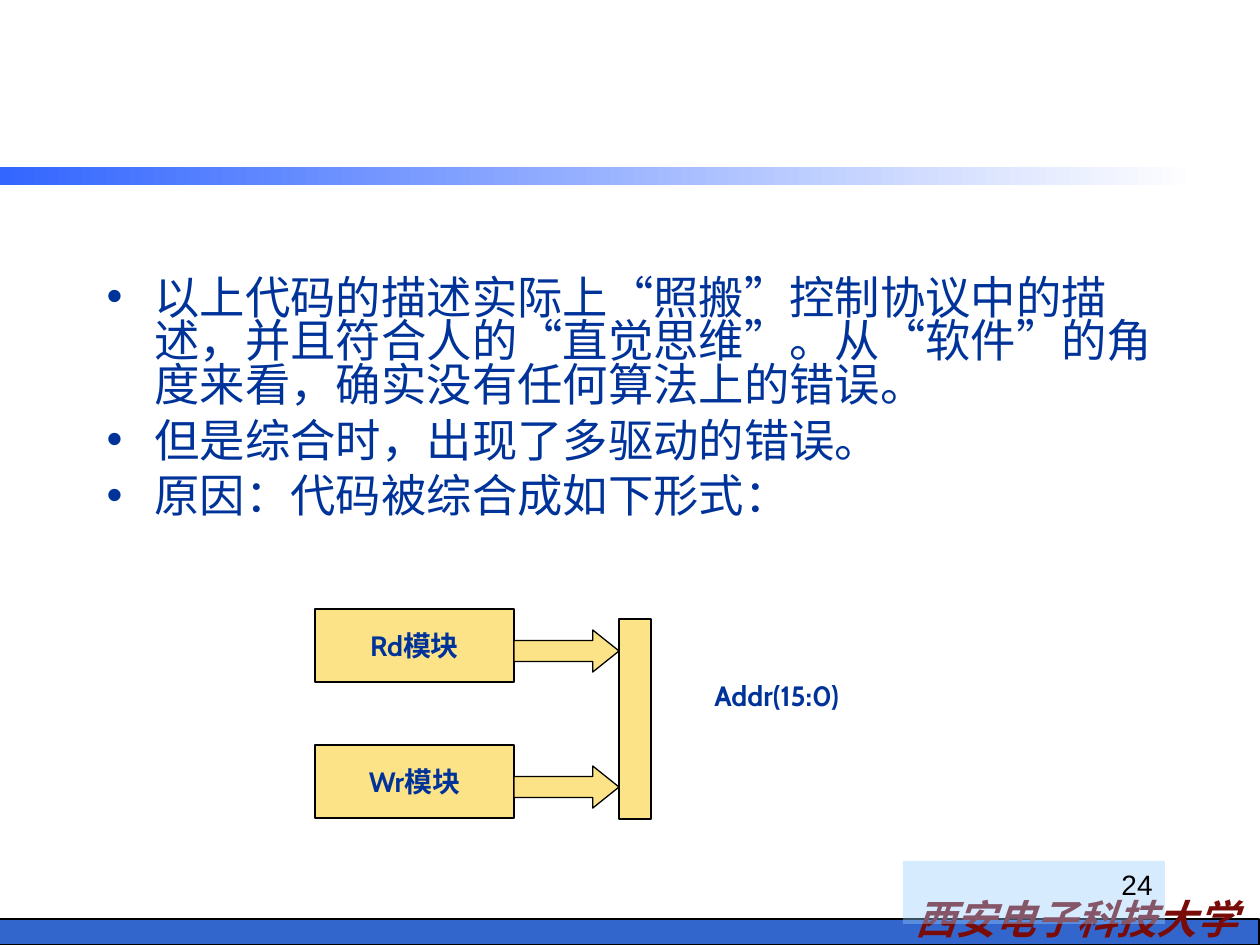
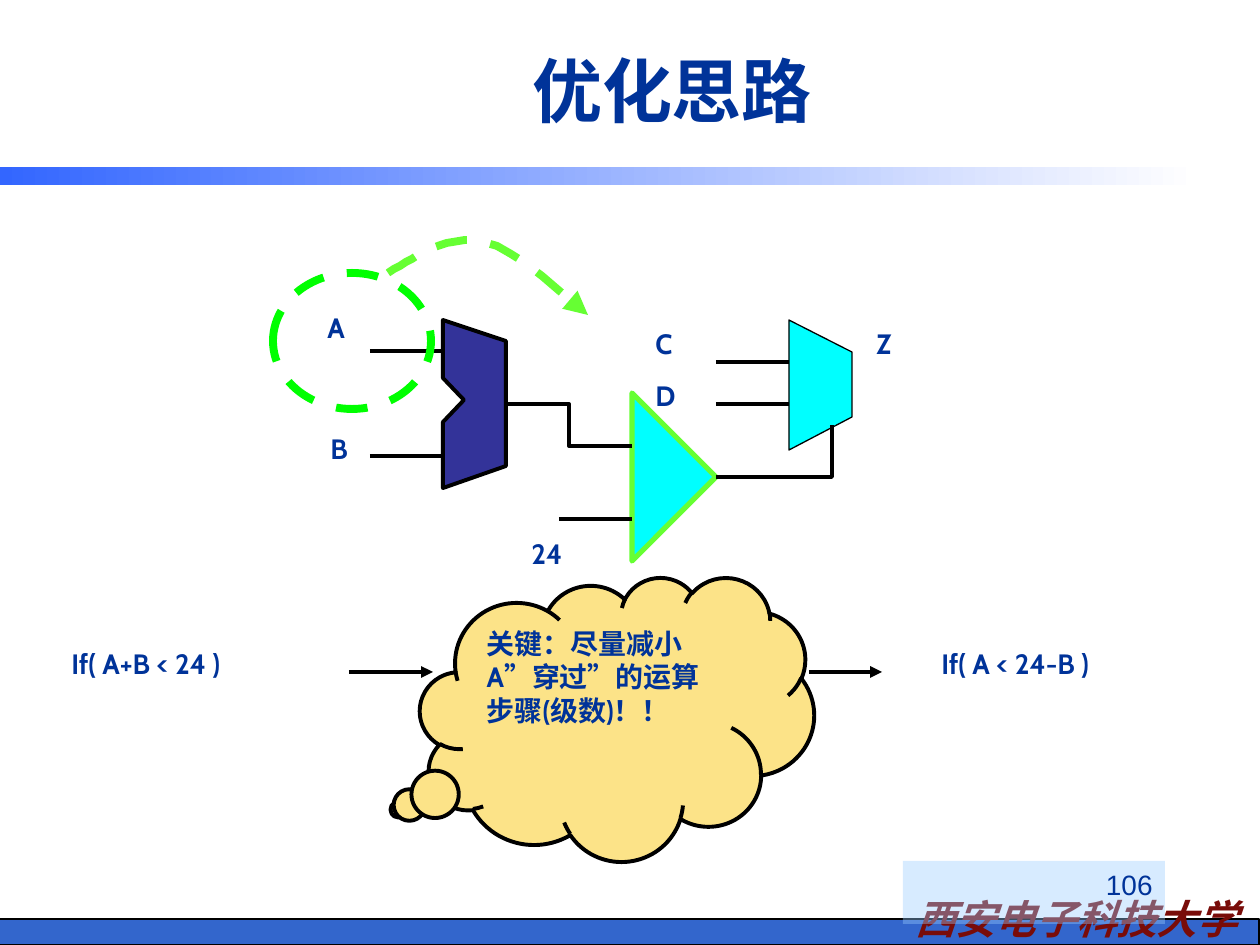
"""Build two slides on synthesis and optimisation of hardware code."""
from dataclasses import dataclass, field
from typing import Any

from lxml import etree
from pptx import Presentation
from pptx import util as u
from pptx.dml.color import RGBColor
from pptx.enum import dml, shapes, text
from pptx.oxml.ns import qn

PX = 914400 / 126
HUE = {
    "ink": "003399", "black": "000000", "band": "3366CC", "bar": "3366FF",
    "white": "FFFFFF", "seal": "790C09", "pale": "99CCFF", "sand": "FCE388",
    "navy": "333399", "cyan": "00FFFF", "lime": "66FF33", "green": "00FF00",
}
KIND = shapes.MSO_SHAPE
ALIGN = text.PP_ALIGN
TOP, MID = text.MSO_ANCHOR.TOP, text.MSO_ANCHOR.MIDDLE
CJK = "Noto Sans CJK SC"
LABEL = {"name": "Cabin", "size": u.Pt(16), "bold": True}
PLAIN = {"name": "Arial", "size": u.Pt(16), "bold": False}
BODY = {"name": "Arial", "size": u.Pt(25.9)}
HEAD = {"name": "Arial", "size": u.Pt(40), "bold": True}
SEAL = {"name": CJK, "size": u.Pt(23), "bold": True, "italic": True}
POINTS = [
    "以上代码的描述实际上“照搬”控制协议中的描述，并且符合人的“直觉思维”。从“软件”的角度来看，确实没有任何算法上的错误。",
    "但是综合时，出现了多驱动的错误。",
    "原因：代码被综合成如下形式：",
]


@dataclass
class Pen:
    """Outline of a shape or line."""
    hue: str = "black"
    width: float = 2.25
    dash: bool = False
    tip: bool = False


@dataclass
class Words:
    """Text with its look."""
    text: str
    font: dict[str, Any] = field(default_factory=lambda: LABEL)
    hue: str = "ink"
    align: Any = ALIGN.LEFT
    anchor: Any = TOP
    wrap: bool = True


@dataclass
class Box:
    """Preset shape in px."""
    kind: Any
    x: int
    y: int
    w: int
    h: int
    fill: str | None = None
    pen: Pen | None = None
    words: Words | None = None
    adj: tuple[float, ...] = ()


@dataclass
class Path:
    """Outline through points in px."""
    dots: list[tuple[int, int]]
    pen: Pen
    fill: str | None = None


THIN = Pen(width=0.75)
WIRE = Pen()
ARROW = Pen(tip=True)


def rgb(hue: str) -> RGBColor:
    """Look up a colour."""
    return RGBColor.from_string(HUE[hue])


def emu(*vals: int) -> list[int]:
    """Turn px into EMU."""
    return [round(v * PX) for v in vals]


def put(item: Any, vals: dict[str, Any]) -> None:
    """Set attributes from a dict."""
    for key, val in vals.items():
        setattr(item, key, val)


def place(item: Any, *px: int) -> None:
    """Move and size an item."""
    put(item, dict(zip(("left", "top", "width", "height"), emu(*px))))


def write(para: Any, words: Words) -> None:
    """Fill one paragraph with a formatted run."""
    run = para.add_run()
    run.text = words.text
    para.alignment = words.align
    put(run.font, words.font)
    run.font.color.rgb = rgb(words.hue)
    face = etree.SubElement(run.font._element, qn("a:ea"))
    face.set("typeface", CJK)


def fill_text(item: Any, words: Words) -> None:
    """Set the text of a shape or placeholder."""
    put(item.text_frame, {"word_wrap": words.wrap, "vertical_anchor": words.anchor})
    write(item.text_frame.paragraphs[0], words)


def stroke(line: Any, pen: Pen) -> None:
    """Apply a pen to a line."""
    line.color.rgb = rgb(pen.hue)
    line.width = u.Pt(pen.width)
    if pen.dash:
        line.dash_style = dml.MSO_LINE.DASH
    if pen.tip:
        etree.SubElement(line._get_or_add_ln(), qn("a:tailEnd")).set("type", "triangle")


def dress(item: Any, fill: str | None, pen: Pen | None) -> None:
    """Set fill and outline of a shape."""
    item.shadow.inherit = False
    if fill:
        item.fill.solid()
        item.fill.fore_color.rgb = rgb(fill)
    else:
        item.fill.background()
    if pen:
        stroke(item.line, pen)
    else:
        item.line.fill.background()


def draw(slide: Any, box: Box) -> Any:
    """Add a preset shape."""
    item = slide.shapes.add_shape(box.kind, *emu(box.x, box.y, box.w, box.h))
    dress(item, box.fill, box.pen)
    for i, val in enumerate(box.adj):
        item.adjustments[i] = val
    if box.words:
        fill_text(item, box.words)
    return item


def trace(slide: Any, path: Path) -> None:
    """Add a freeform, closed when it is filled."""
    pen = slide.shapes.build_freeform(*path.dots[0], scale=PX)
    pen.add_line_segments(path.dots[1:], close=bool(path.fill))
    dress(pen.convert_to_shape(), path.fill, path.pen)


def link(slide: Any, x: int, y: int, end: int, pen: Pen = WIRE) -> None:
    """Add a level line from x to end."""
    item = slide.shapes.add_connector(shapes.MSO_CONNECTOR.STRAIGHT, *emu(x, y, end, y))
    stroke(item.line, pen)
    etree.SubElement(item._element.spPr, qn("a:effectLst"))


def label(slide: Any, x: int, y: int, w: int, words: Words, h: int = 46) -> None:
    """Add a text box."""
    item = slide.shapes.add_textbox(*emu(x, y, w, h))
    fill_text(item, words)


def curve(*ends: tuple[int, int], steps: int = 16) -> list[tuple[int, int]]:
    """Sample a cubic curve."""
    dots = []
    for i in range(steps + 1):
        t = i / steps
        mix = ((1 - t) ** 3, 3 * t * (1 - t) ** 2, 3 * t * t * (1 - t), t ** 3)
        dots.append(tuple(round(sum(m * p[k] for m, p in zip(mix, ends))) for k in (0, 1)))
    return dots


def frame(deck: Any, layout: int, page: str, hue: str) -> Any:
    """Add a slide with band, seal, bar and page number."""
    slide = deck.slides.add_slide(deck.slide_layouts[layout])
    draw(slide, Box(KIND.RECTANGLE, -1, 919, 1260, 26, "band", THIN))
    label(slide, 878, 888, 397, Words("西安电子科技大学", SEAL, "seal", ALIGN.CENTER), 62)
    bar = draw(slide, Box(KIND.RECTANGLE, 0, 167, 1198, 18))
    bar.fill.gradient()
    bar.fill.gradient_angle = 0
    for stop, tone in zip(bar.fill.gradient_stops, ("bar", "white")):
        stop.color.rgb = rgb(tone)
    words = Words(page, PLAIN, hue, ALIGN.RIGHT)
    tag = draw(slide, Box(KIND.RECTANGLE, 903, 861, 262, 63, "pale", None, words))
    tone = tag._element.spPr.find(qn("a:solidFill"))[0]
    etree.SubElement(tone, qn("a:alpha")).set("val", "39000")
    return slide


def bullet(para: Any) -> None:
    """Give a paragraph a hanging bullet and keep punctuation inside."""
    props = para._p.get_or_add_pPr()
    dent = round(48 * PX)
    for key, val in {"marL": dent, "indent": -dent, "hangingPunct": 0}.items():
        props.set(key, str(val))
    tone = etree.SubElement(props, qn("a:buClr"))
    etree.SubElement(tone, qn("a:srgbClr")).set("val", HUE["ink"])
    etree.SubElement(props, qn("a:buChar")).set("char", "•")


def cause(deck: Any) -> None:
    """Build the slide on the multiple driver error."""
    slide = frame(deck, 1, "24", "black")
    title, body = slide.placeholders
    title._element.getparent().remove(title._element)
    place(body, 94, 273, 1081, 315)
    body.text_frame.auto_size = text.MSO_AUTO_SIZE.NONE
    for i, line in enumerate(POINTS):
        para = body.text_frame.add_paragraph() if i else body.text_frame.paragraphs[0]
        bullet(para)
        put(para, {"line_spacing": 0.8, "space_before": u.Pt(7 if i else 0)})
        write(para, Words(line, BODY))
    for i, name in enumerate(("Rd模块", "Wr模块")):
        y = 609 + 136 * i
        words = Words(name, align=ALIGN.CENTER, anchor=MID, wrap=False)
        draw(slide, Box(KIND.RECTANGLE, 315, y, 199, 73, "sand", THIN, words))
        draw(slide, Box(KIND.RIGHT_ARROW, 514, y + 21, 105, 42, "sand", THIN, adj=(0.5, 0.625)))
    draw(slide, Box(KIND.RECTANGLE, 619, 619, 32, 200, "sand", THIN))
    label(slide, 702, 672, 168, Words("Addr(15:0)", wrap=False))


def idea(deck: Any) -> None:
    """Build the slide on the optimised circuit."""
    slide = frame(deck, 5, "106", "ink")
    title = slide.shapes.title
    place(title, 168, 22, 1008, 136)
    fill_text(title, Words("优化思路", HEAD, align=ALIGN.CENTER, anchor=MID))
    adder = [(464, 400), (443, 378), (443, 320), (506, 341), (506, 466), (443, 488), (443, 422)]
    for path in (
        Path(adder, WIRE, "navy"),
        Path([(632, 393), (632, 561), (716, 477)], Pen("lime", 3), "cyan"),
        Path([(789, 450), (852, 417), (852, 352), (789, 320)], THIN, "cyan"),
        Path([(506, 404), (569, 404), (569, 446), (632, 446)], WIRE),
        Path([(716, 477), (832, 477), (832, 425)], WIRE),
    ):
        trace(slide, path)
    for x, y in ((370, 351), (370, 456), (559, 519), (716, 362), (716, 404)):
        link(slide, x, y, x + 73)
    for name, x, y, w in (
        ("A", 315, 304, 44), ("B", 318, 425, 44), ("24", 519, 530, 57),
        ("C", 643, 320, 43), ("D", 643, 372, 45), ("Z", 864, 320, 42),
        ("If( A+B < 24 )", 59, 640, 204), ("If( A < 24-B )", 929, 640, 197),
    ):
        label(slide, x, y, w, Words(name, wrap=False))
    draw(slide, Box(KIND.OVAL, 273, 273, 158, 136, pen=Pen("green", 4.5, True)))
    rise = curve((388, 273), (420, 253), (450, 234), (483, 242))
    drop = curve((483, 242), (517, 248), (571, 302), (588, 315))
    trace(slide, Path(rise + drop[1:], Pen("lime", 4.5, True, True)))
    link(slide, 349, 672, 433, ARROW)
    link(slide, 809, 672, 882, ARROW)
    words = Words("关键：尽量减小A”穿过”的运算步骤(级数)！！")
    draw(slide, Box(KIND.CLOUD_CALLOUT, 420, 577, 394, 284, "sand", WIRE, words, (-0.555, 0.319)))


def main() -> None:
    """Build and save the deck."""
    deck = Presentation()
    put(deck, dict(zip(("slide_width", "slide_height"), emu(1260, 945))))
    cause(deck)
    idea(deck)
    deck.save("out.pptx")


if __name__ == "__main__":
    main()
